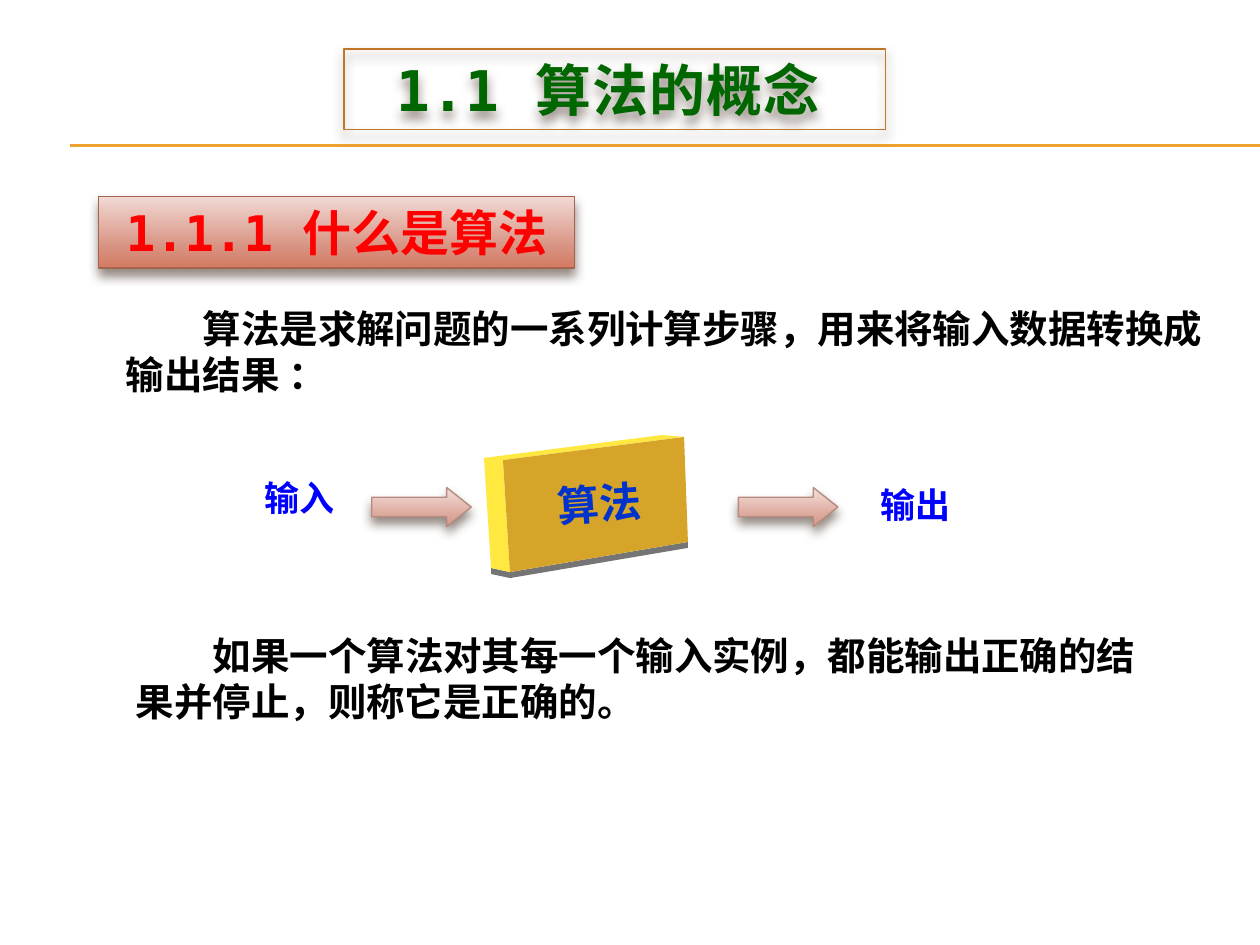
from lxml.etree import SubElement
from pptx import Presentation
from pptx.dml.color import RGBColor
from pptx.enum.shapes import MSO_CONNECTOR, MSO_SHAPE
from pptx.enum.text import MSO_ANCHOR, PP_ALIGN
from pptx.oxml.ns import qn
from pptx.util import Pt

INK = {
    "rule": "F0A22E", "black": "000000", "blue": "0000FF", "navy": "0033CC",
    "red": "FF0000", "green": "006600", "shade": "4E3B30",
    "front": "D6A429", "side": "FFE83F", "base": "757575",
    "title": "C17529", "head": "A5644E", "arrow": "B58B80",
}
HEAD = [(0, "F1D9D4"), (72, "D89180"), (100, "D47A62")]
ARROW = [(0, "F3E0DB"), (72, "DCA79B"), (100, "D89787")]
SANS = "Noto Sans CJK SC"
MONO = "DejaVu Sans Mono"


def write(shape, text, size, ink, face=SANS, mid=False, indent=0, gap=0):
    frame = shape.text_frame
    look = {"word_wrap": True, "margin_left": Pt(7.2), "margin_right": Pt(7.2),
            "margin_top": Pt(3.6), "margin_bottom": Pt(3.6),
            "vertical_anchor": MSO_ANCHOR.MIDDLE if mid else MSO_ANCHOR.TOP}
    for key, val in look.items():
        setattr(frame, key, val)
    para = frame.paragraphs[0]
    para.alignment = PP_ALIGN.CENTER if mid else PP_ALIGN.LEFT
    if indent:
        para._p.get_or_add_pPr().set("indent", str(Pt(indent)))
    run = para.add_run()
    run.text = text
    font = {"size": Pt(size), "bold": True, "name": face}
    for key, val in font.items():
        setattr(run.font, key, val)
    run.font.color.rgb = RGBColor.from_string(INK[ink])
    props = run._r.get_or_add_rPr()
    SubElement(props, qn("a:ea"), typeface=SANS)
    if gap:
        props.set("spc", str(gap))


def panel(kind, box, line, stops):
    shape = slide.shapes.add_shape(kind, *map(Pt, box))
    shape.line.color.rgb = RGBColor.from_string(INK[line])
    shape.line.width = Pt(0.79)
    if stops:
        shape.fill.gradient()
        shape.fill.gradient_angle = 270
        ramp = shape._element.spPr.find(qn("a:gradFill")).find(qn("a:gsLst"))
        for old in list(ramp):
            ramp.remove(old)
        for at, hue in stops:
            stop = SubElement(ramp, qn("a:gs"), pos=str(at * 1000))
            SubElement(stop, qn("a:srgbClr"), val=hue)
    else:
        shape.fill.background()
    shape.shadow.inherit = False
    cast = SubElement(shape._element.spPr.find(qn("a:effectLst")),
                      qn("a:outerShdw"), blurRad=str(Pt(6)), dist=str(Pt(4)),
                      dir="5400000", rotWithShape="0")
    tint = SubElement(cast, qn("a:srgbClr"), val=INK["shade"])
    SubElement(tint, qn("a:alpha"), val="60000")
    return shape


deck = Presentation()
deck.slide_width, deck.slide_height = Pt(720), Pt(540)
slide = deck.slides.add_slide(deck.slide_layouts[6])

for y in (82.8, 83.5):
    rule = slide.shapes.add_connector(
        MSO_CONNECTOR.STRAIGHT, Pt(40.3), Pt(y), Pt(720), Pt(y))
    rule.line.color.rgb = RGBColor.from_string(INK["rule"])
    rule.line.width = Pt(0.75)
    SubElement(rule._element.spPr, qn("a:effectLst"))

block = [
    ("base", [(280.6, 324.6), (291.4, 326.9), (393.1, 309.7),
              (393.1, 313.1), (291.4, 330.3), (280.6, 328)]),
    ("side", [(276.6, 261.7), (378.3, 248.6), (390.9, 249.7),
              (287.4, 262.9), (291.4, 326.9), (280.6, 324.6)]),
    ("front", [(287.4, 262.9), (390.9, 249.7), (393.1, 309.7), (291.4, 326.9)]),
]
for ink, dots in block:
    dots = [(Pt(x), Pt(y)) for x, y in dots]
    pen = slide.shapes.build_freeform(*dots[0])
    pen.add_line_segments(dots[1:], close=True)
    face = pen.convert_to_shape()
    face.fill.solid()
    face.fill.fore_color.rgb = RGBColor.from_string(INK[ink])
    face.line.fill.background()
    face.shadow.inherit = False

for x in (212.4, 421.9):
    arrow = panel(MSO_SHAPE.RIGHT_ARROW, (x, 278.6, 56.9, 22.3), "arrow", ARROW)
    arrow.adjustments[0] = 0.5
    arrow.adjustments[1] = 0.63

texts = [
    ((64.8, 170.6, 635, 60.5), "算法是求解问题的一系列计算步骤，用来将输入数据转换成输出结果 ：",
     22, "black", {"indent": 44}),
    ((70.6, 357.8, 595.4, 60.5),
     "如果一个算法对其每一个输入实例，都能输出正确的结果并停止，则称它是正确的。",
     22, "black", {"indent": 44}),
    ((144, 268.6, 56.9, 31), "输入", 20, "blue", {}),
    ((496.1, 272.9, 56.9, 31), "输出", 20, "blue", {}),
    ((292.3, 267.4, 100, 40), "算法", 24, "navy", {"mid": True}),
]
for box, text, size, ink, more in texts:
    label = slide.shapes.add_textbox(*map(Pt, box))
    write(label, text, size, ink, **more)
    if ink == "navy":
        label.rotation = -4

head = panel(MSO_SHAPE.RECTANGLE, (56.2, 112.3, 272.2, 41), "head", HEAD)
write(head, "1.1.1 什么是算法", 28, "red", MONO, True)
title = panel(MSO_SHAPE.RECTANGLE, (196.6, 28.1, 309.6, 46.1), "title", None)
write(title, "1.1 算法的概念 ", 32, "green", MONO, True, gap=50)

deck.save("out.pptx")
